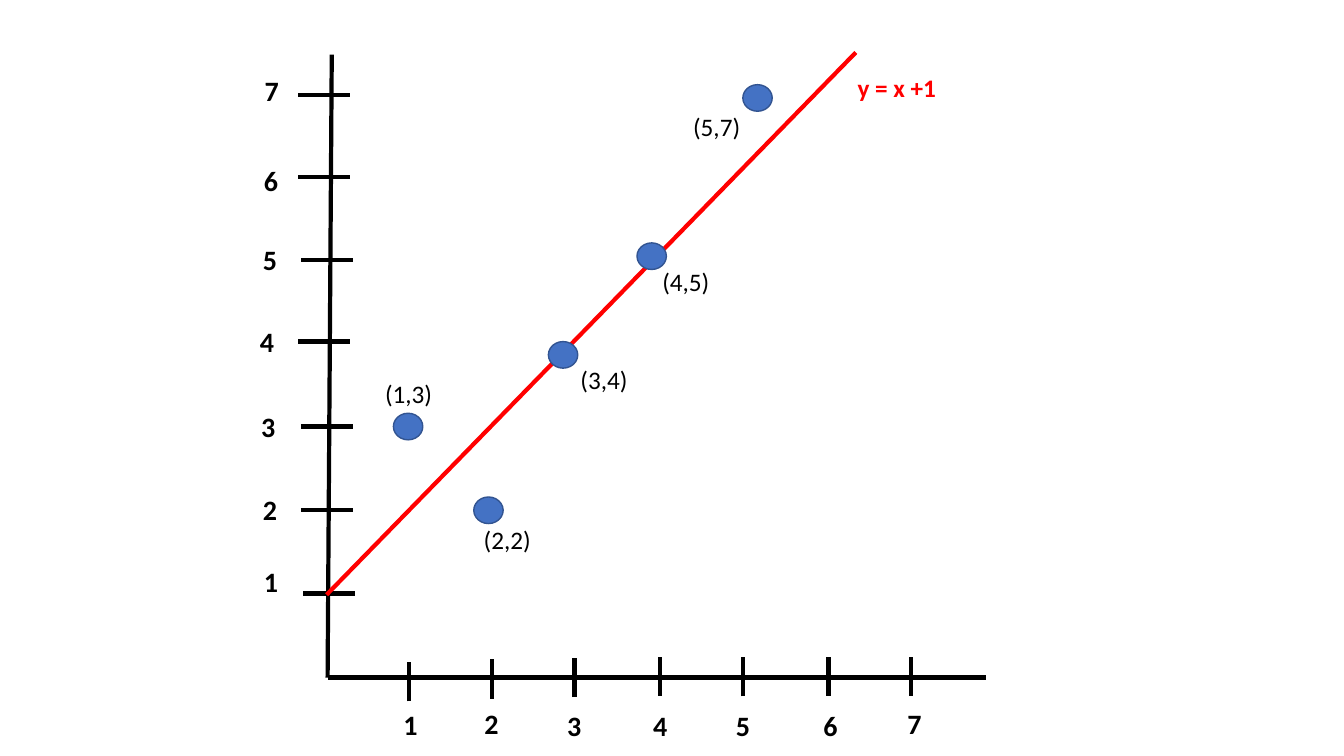
from dataclasses import dataclass

from lxml.etree import SubElement
from pptx import Presentation
from pptx.dml.color import RGBColor as RGB
from pptx.enum.shapes import MSO_CONNECTOR as Conn, MSO_SHAPE as Kind
from pptx.enum.text import MSO_AUTO_SIZE as Fit, PP_ALIGN as Align
from pptx.oxml.ns import qn
from pptx.util import Pt


@dataclass(frozen=True)
class Theme:
    font: str = "Calibri"
    ink: RGB = RGB(0, 0, 0)
    red: RGB = RGB(255, 0, 0)
    blue: RGB = RGB(0x44, 0x72, 0xC4)
    rim: RGB = RGB(0x32, 0x54, 0x91)
    num: int = 20
    note: int = 18
    thick: int = 3
    thin: int = 1


class Graph:
    """Draws the elements of the graph into one group on a slide."""

    def __init__(self, slide, theme):
        self.theme = theme
        self.slide = slide
        self.group = slide.shapes.add_group_shape()

    def line(self, x1, y1, x2, y2, color):
        line = self.group.shapes.add_connector(
            Conn.STRAIGHT, Pt(x1), Pt(y1), Pt(x2), Pt(y2))
        line.line.color.rgb = color
        line.line.width = Pt(self.theme.thick)
        SubElement(line._element.spPr, qn("a:effectLst"))

    def dot(self, x, y):
        dot = self.group.shapes.add_shape(
            Kind.OVAL, Pt(x), Pt(y), Pt(21), Pt(19))
        dot.shadow.inherit = False
        dot.fill.solid()
        dot.fill.fore_color.rgb = self.theme.blue
        dot.line.color.rgb = self.theme.rim
        dot.line.width = Pt(self.theme.thin)

    def label(self, text, x, y, wide, high, size, color, bold):
        box = self.group.shapes.add_textbox(Pt(x), Pt(y), Pt(wide), Pt(high))
        frame = box.text_frame
        frame.text = text
        frame.word_wrap = False
        frame.auto_size = Fit.SHAPE_TO_FIT_TEXT
        para = frame.paragraphs[0]
        para.alignment = Align.LEFT
        font = para.runs[0].font
        font.name = self.theme.font
        font.size = Pt(size)
        font.bold = bold
        font.color.rgb = color

    def number(self, value, x, y):
        self.label(str(value), x, y, 24.5, 31.5,
                   self.theme.num, self.theme.ink, True)

    def note(self, text, x, y, wide, color, bold=False):
        self.label(text, x, y, wide, 29, self.theme.note, color, bold)


# Tick x, tick top, number left, number top
ACROSS = [
    (292.3, 473, 281, 502), (351.4, 471, 339, 501), (410.4, 470, 398, 502.5),
    (471.6, 469, 459.5, 502.5), (530.6, 469.5, 518.5, 502.5),
    (591.8, 469, 581, 502.5), (651, 469, 641, 501),
]
# Tick left, tick y, number left, number top
UP = [
    (216.7, 424, 181.5, 399.5), (215, 364.3, 180.7, 348.5),
    (215, 304.6, 179.5, 288.7), (213, 244, 178.5, 228.2),
    (215.3, 185.8, 180.7, 170), (213, 126.7, 181.5, 113),
    (213, 67.7, 182, 49),
]
# Text, dot left and top, note left and top
POINTS = [
    ("(1,3)", 281, 295.2, 268, 267), ("(2,2)", 338.4, 355, 338.4, 371),
    ("(3,4)", 391.7, 244, 407.5, 257), ("(4,5)", 455, 173.5, 466, 187),
    ("(5,7)", 530.6, 60.5, 488, 75.6),
]


def main():
    deck = Presentation()
    deck.slide_width, deck.slide_height = Pt(960), Pt(540)
    slide = deck.slides.add_slide(deck.slide_layouts[6])
    theme = Theme()
    graph = Graph(slide, theme)

    graph.line(234, 484, 704, 484, theme.ink)
    graph.line(237, 39, 234, 484, theme.ink)
    for value, (x, top, left, base) in enumerate(ACROSS, 1):
        graph.line(x, top + 28, x, top, theme.ink)
        graph.number(value, left, base)
    for value, (start, y, left, top) in enumerate(UP, 1):
        graph.line(start, y, start + 37, y, theme.ink)
        graph.number(value, left, top)

    graph.line(611.3, 37.5, 233.3, 424.8, theme.red)
    for text, x, y, left, top in POINTS:
        graph.dot(x, y)
        graph.note(text, left, top, 49, theme.ink)
    graph.note("y = x +1", 605.5, 48.2, 71.3, theme.red, True)

    deck.save("out.pptx")


if __name__ == "__main__":
    main()
